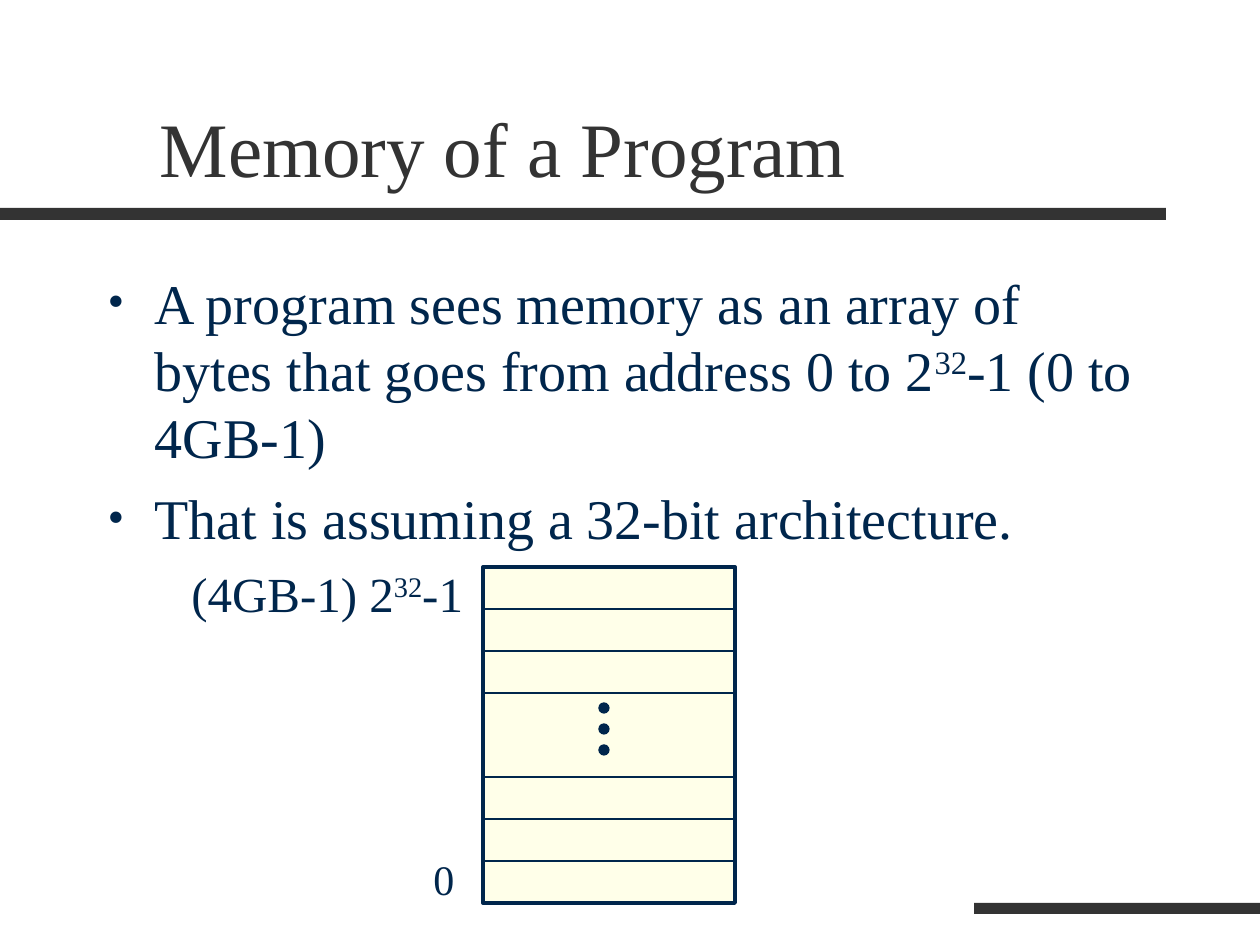
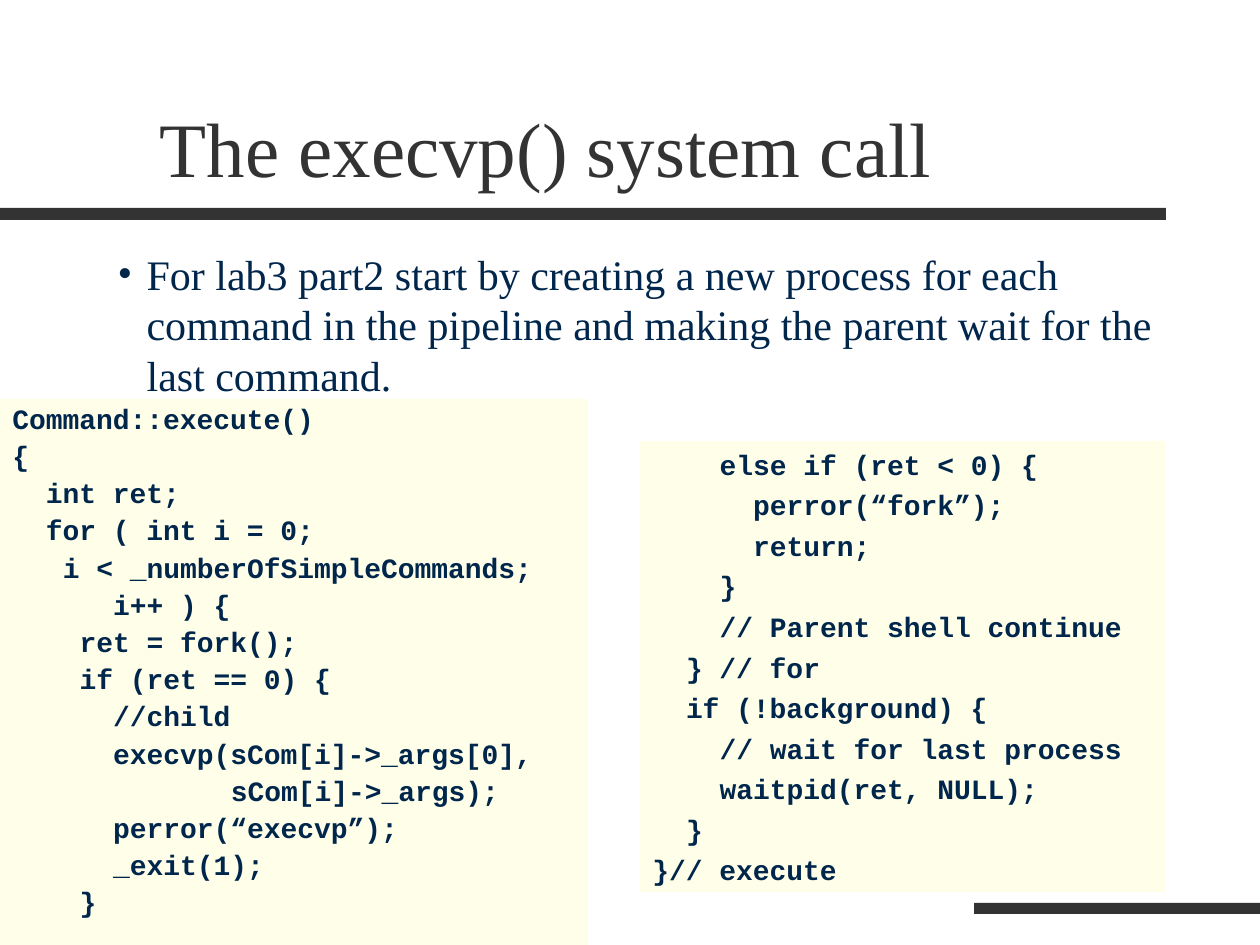
from dataclasses import dataclass

from lxml import etree
from pptx import Presentation
from pptx import util as u
from pptx.dml.color import RGBColor
from pptx.enum import shapes, text
from pptx.oxml.ns import qn


@dataclass(frozen=True)
class Theme:
    """Colours, fonts and type sizes of the deck."""
    dark: RGBColor = RGBColor(0x33, 0x33, 0x33)
    navy: RGBColor = RGBColor(0x00, 0x26, 0x4C)
    cream: RGBColor = RGBColor(0xFF, 0xFF, 0xE9)
    serif: str = "Times New Roman"
    mono: str = "Courier New"
    title: int = 44
    body: int = 32
    label: int = 28
    small: int = 24
    code: int = 16
    code_column: float = 9.6


T = Theme()
PX_PER_INCH = 126
TITLE_BOX = (147, 42, 1071, 157)
BANDS = [(0, 208, 1166, 12), (974, 903, 286, 11)]

CODE_LEFT = [
    (0, "Command::execute()"),
    (0, "{"),
    (2, "int ret;"),
    (2, "for ( int i = 0;"),
    (3, "i < _numberOfSimpleCommands;"),
    (6, "i++ ) {"),
    (4, "ret = fork();"),
    (4, "if (ret == 0) {"),
    (6, "//child"),
    (6, "execvp(sCom[i]->_args[0],"),
    (13, "sCom[i]->_args);"),
    (6, "perror(“execvp”);"),
    (6, "_exit(1);"),
    (4, "}"),
]
CODE_RIGHT = [
    (4, "else if (ret < 0) {"),
    (6, "perror(“fork”);"),
    (6, "return;"),
    (4, "}"),
    (4, "// Parent shell continue"),
    (2, "} // for"),
    (2, "if (!background) {"),
    (4, "// wait for last process"),
    (4, "waitpid(ret, NULL);"),
    (2, "}"),
    (0, "}// execute"),
]


def px(*lengths):
    """Turn px lengths into EMU."""
    return [u.Emu(round(n * u.Inches(1) / PX_PER_INCH)) for n in lengths]


def apply(obj, values):
    """Set each named attribute of an object."""
    for name, value in values.items():
        setattr(obj, name, value)


def place(sp, box):
    """Move a shape to a px box."""
    apply(sp, dict(zip(("left", "top", "width", "height"), px(*box))))


def write(p, content, size, color=T.navy, font=T.serif, bold=False):
    """Fill a paragraph, raising the parts between carets."""
    for i, part in enumerate(content.split("^")):
        r = p.add_run()
        r.text = part
        apply(r.font, {"size": u.Pt(size), "name": font, "bold": bold})
        r.font.color.rgb = color
        if i % 2:
            r._r.get_or_add_rPr().set("baseline", "30000")


def indent(p, left, first=0):
    """Set the left margin and first-line indent in EMU."""
    pPr = p._p.get_or_add_pPr()
    for name, value in {"marL": left, "indent": first}.items():
        pPr.set(name, str(int(value)))


def bullet(p, percent):
    """Give a paragraph a round bullet of a relative size."""
    pPr = p._p.get_or_add_pPr()
    for tag, key, value in (("a:buSzPct", "val", str(percent * 1000)),
                            ("a:buFont", "typeface", T.serif),
                            ("a:buChar", "char", "•")):
        etree.SubElement(pPr, qn(tag)).set(key, value)


def add_block(s, kind, box, fill, line=None, weight=0.75):
    """Add a flat preset shape."""
    sp = s.shapes.add_shape(kind, *px(*box))
    sp.shadow.inherit = False
    sp.fill.solid()
    sp.fill.fore_color.rgb = fill
    if line is None:
        sp.line.fill.background()
    else:
        sp.line.color.rgb = line
        sp.line.width = u.Pt(weight)
    return sp


def add_rule(s, x, y, width):
    """Add a thin horizontal line."""
    line = s.shapes.add_connector(shapes.MSO_CONNECTOR.STRAIGHT, *px(x, y, x + width, y))
    line.line.color.rgb = T.navy
    line.line.width = u.Pt(0.75)
    etree.SubElement(line.element.spPr, qn("a:effectLst"))


def add_label(s, box, content, size):
    """Add a text box with one line."""
    tf = s.shapes.add_textbox(*px(*box)).text_frame
    tf.word_wrap = True
    write(tf.paragraphs[0], content, size)


def add_bands(prs, s):
    """Build the two bands and hand them to the slide master."""
    for box in BANDS:
        band = add_block(s, shapes.MSO_SHAPE.RECTANGLE, box, T.dark)
        prs.slide_master.shapes.element.append(band.element)


def add_title(s, content):
    """Fill and place the title placeholder."""
    place(s.shapes.title, TITLE_BOX)
    tf = s.shapes.title.text_frame
    apply(tf, {"auto_size": text.MSO_AUTO_SIZE.NONE, "vertical_anchor": text.MSO_ANCHOR.BOTTOM})
    tf.paragraphs[0].alignment = text.PP_ALIGN.LEFT
    write(tf.paragraphs[0], content, T.title, T.dark)


def add_list(s, box, items, size, hang, before, bullet_size):
    """Fill and place the body placeholder as a bullet list."""
    body = s.placeholders[1]
    place(body, box)
    tf = body.text_frame
    tf.auto_size = text.MSO_AUTO_SIZE.NONE
    step, = px(hang)
    for i, item in enumerate(items):
        p = tf.add_paragraph() if i else tf.paragraphs[0]
        p.space_before = u.Pt(before)
        indent(p, step, -step)
        bullet(p, bullet_size)
        write(p, item, size)


def add_memory(s, box):
    """Draw the column of memory cells with its end addresses."""
    x, y, width, height = box
    add_block(s, shapes.MSO_SHAPE.RECTANGLE, box, T.cream, T.navy, 2.25)
    for row in (1, 2, 3, 5, 6, 7):
        add_rule(s, x, y + row * height // 8, width)
    for i in range(3):
        add_block(s, shapes.MSO_SHAPE.OVAL, (x + 116, y + 136 + 21 * i, 10, 10), T.navy, T.navy)
    add_label(s, (x - 304, y - 10, 336, 72), "(4GB-1) 2^32^-1", T.label)
    add_label(s, (x - 62, y + 280, 62, 64), "0", T.small)


def add_code(s, box, lines, spacing):
    """Add a panel of code, each line indented by its column."""
    tf = add_block(s, shapes.MSO_SHAPE.RECTANGLE, box, T.cream).text_frame
    apply(tf, {"word_wrap": True, "vertical_anchor": text.MSO_ANCHOR.TOP})
    for i, (column, content) in enumerate(lines):
        p = tf.add_paragraph() if i else tf.paragraphs[0]
        apply(p, {"alignment": text.PP_ALIGN.LEFT, "space_before": u.Pt(4),
                  "line_spacing": spacing})
        indent(p, u.Pt(column * T.code_column))
        write(p, content, T.code, font=T.mono, bold=True)


def memory_slide(s):
    """Lay out the slide on program memory."""
    add_title(s, "Memory of a Program")
    add_list(s, (95, 262, 1071, 577), [
        "A program sees memory as an array of bytes that goes from address 0 to 2^32^-1 (0 to 4GB-1)",
        "That is assuming a 32-bit architecture.",
    ], T.body, 47, 8, 85)
    add_memory(s, (483, 567, 252, 336))


def execvp_slide(s):
    """Lay out the slide on the execvp() call."""
    add_title(s, "The execvp() system call")
    add_list(s, (105, 242, 1092, 164), [
        "For lab3 part2 start by creating a new process for each command in the pipeline "
        "and making the parent wait for the last command.",
    ], T.small, 29, 15, 100)
    add_code(s, (0, 399, 588, 590), CODE_LEFT, 0.9)
    add_code(s, (640, 441, 525, 451), CODE_RIGHT, 1.0)


def main():
    """Build and save the deck."""
    prs = Presentation()
    prs.slide_width, prs.slide_height = px(1260, 945)
    for i, build in enumerate((memory_slide, execvp_slide)):
        s = prs.slides.add_slide(prs.slide_layouts[1])
        if i == 0:
            add_bands(prs, s)
        build(s)
    prs.save("out.pptx")


if __name__ == "__main__":
    main()
